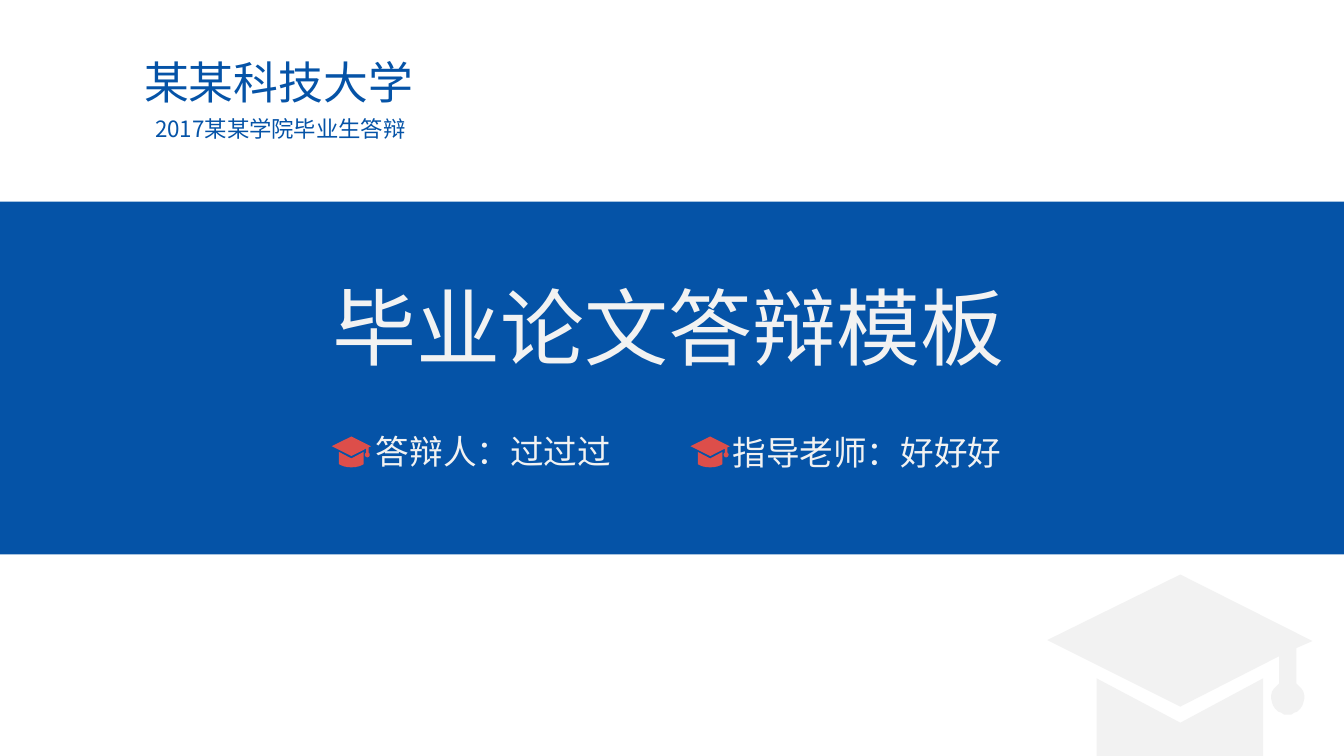
from math import cos, radians, sin

from lxml.etree import SubElement
from pptx import Presentation
from pptx.dml.color import RGBColor
from pptx.enum.shapes import MSO_SHAPE
from pptx.enum.text import MSO_ANCHOR, MSO_AUTO_SIZE, PP_ALIGN
from pptx.oxml.ns import qn
from pptx.util import Pt

BLUE = RGBColor(0x05, 0x53, 0xA7)
LIGHT_GRAY = RGBColor(0xF2, 0xF2, 0xF2)
RED = RGBColor(0xDD, 0x4E, 0x4A)
SANS_SC = "Noto Sans CJK SC"
SANS_JP = "Noto Sans CJK JP"

SLIDE_SIZE = (960, 540)
BAND = (-4, 144, 969, 252)

TITLE = ("毕业论文答辩模板", (230.4, 193, 499, 80), 60, SANS_SC, LIGHT_GRAY)
LABELS = [
    ("答辩人：过过过", (261.4, 304.6, 184.3, 36), 24, SANS_SC, LIGHT_GRAY),
    ("指导老师：好好好", (516.2, 305.3, 208, 36), 24, SANS_SC, LIGHT_GRAY),
    ("某某科技大学", (95.8, 35.3, 217.4, 46), 32, SANS_JP, BLUE),
    ("2017某某学院毕业生答辩", (103.7, 78.5, 198, 26.6), 16, SANS_SC, BLUE),
]

# Graduation caps: left, top, width, colour
CAPS = [
    (748.1, 410.4, 189.4, LIGHT_GRAY),
    (236.9, 311.8, 28.1, RED),
    (493.2, 311.8, 28.1, RED),
]
CAP_UNITS = 263  # width of the outlines below


def arc(center_x, center_y, radius_x, radius_y, start, end, steps=24):
    """Points along an ellipse, angles in degrees clockwise from the right."""
    angles = [radians(start + (end - start) * i / steps) for i in range(steps + 1)]
    return [(center_x + radius_x * cos(a), center_y + radius_y * sin(a)) for a in angles]


CAP_BASE = [(49, 103), *arc(131.5, 154, 103, 52, 143, 37), (214, 103), (131.5, 147)]
CAP_BOARD = [
    (247, 73), (263, 66), (131.5, 0), (0, 65), (131.5, 131), (230, 81),
    *arc(238.5, 122.5, 16.5, 16.5, 239, -59),
]


def paint(shape, color):
    shape.shadow.inherit = False
    shape.fill.solid()
    shape.fill.fore_color.rgb = color
    shape.line.fill.background()


def write(shape, text, *, size, font_name, color):
    frame = shape.text_frame
    frame.word_wrap = False
    frame.auto_size = MSO_AUTO_SIZE.SHAPE_TO_FIT_TEXT
    frame.vertical_anchor = MSO_ANCHOR.TOP
    paragraph = frame.paragraphs[0]
    paragraph.alignment = PP_ALIGN.LEFT
    paragraph.line_spacing = 1.0
    run = paragraph.add_run()
    run.text = text
    run.font.size = Pt(size)
    run.font.name = font_name
    run.font.color.rgb = color
    SubElement(run.font._element, qn("a:ea"), typeface=font_name)


def add_cap(slide, left, top, width, color):
    scale = Pt(width) / CAP_UNITS
    builder = slide.shapes.build_freeform(*CAP_BASE[0], scale=scale)
    builder.add_line_segments(CAP_BASE[1:], close=True)
    builder.move_to(*CAP_BOARD[0])
    builder.add_line_segments(CAP_BOARD[1:], close=True)
    paint(builder.convert_to_shape(Pt(left), Pt(top)), color)


def main():
    presentation = Presentation()
    presentation.slide_width, presentation.slide_height = map(Pt, SLIDE_SIZE)
    slide = presentation.slides.add_slide(presentation.slide_layouts[5])

    band = slide.shapes.add_shape(MSO_SHAPE.RECTANGLE, *map(Pt, BAND))
    paint(band, BLUE)

    title = slide.shapes.title
    title.element.addprevious(band.element)  # the band lies behind the title
    text, box, size, font_name, color = TITLE
    title.left, title.top, title.width, title.height = map(Pt, box)
    write(title, text, size=size, font_name=font_name, color=color)

    for text, box, size, font_name, color in LABELS:
        label = slide.shapes.add_textbox(*map(Pt, box))
        write(label, text, size=size, font_name=font_name, color=color)

    for cap in CAPS:
        add_cap(slide, *cap)

    presentation.save("out.pptx")


if __name__ == "__main__":
    main()
